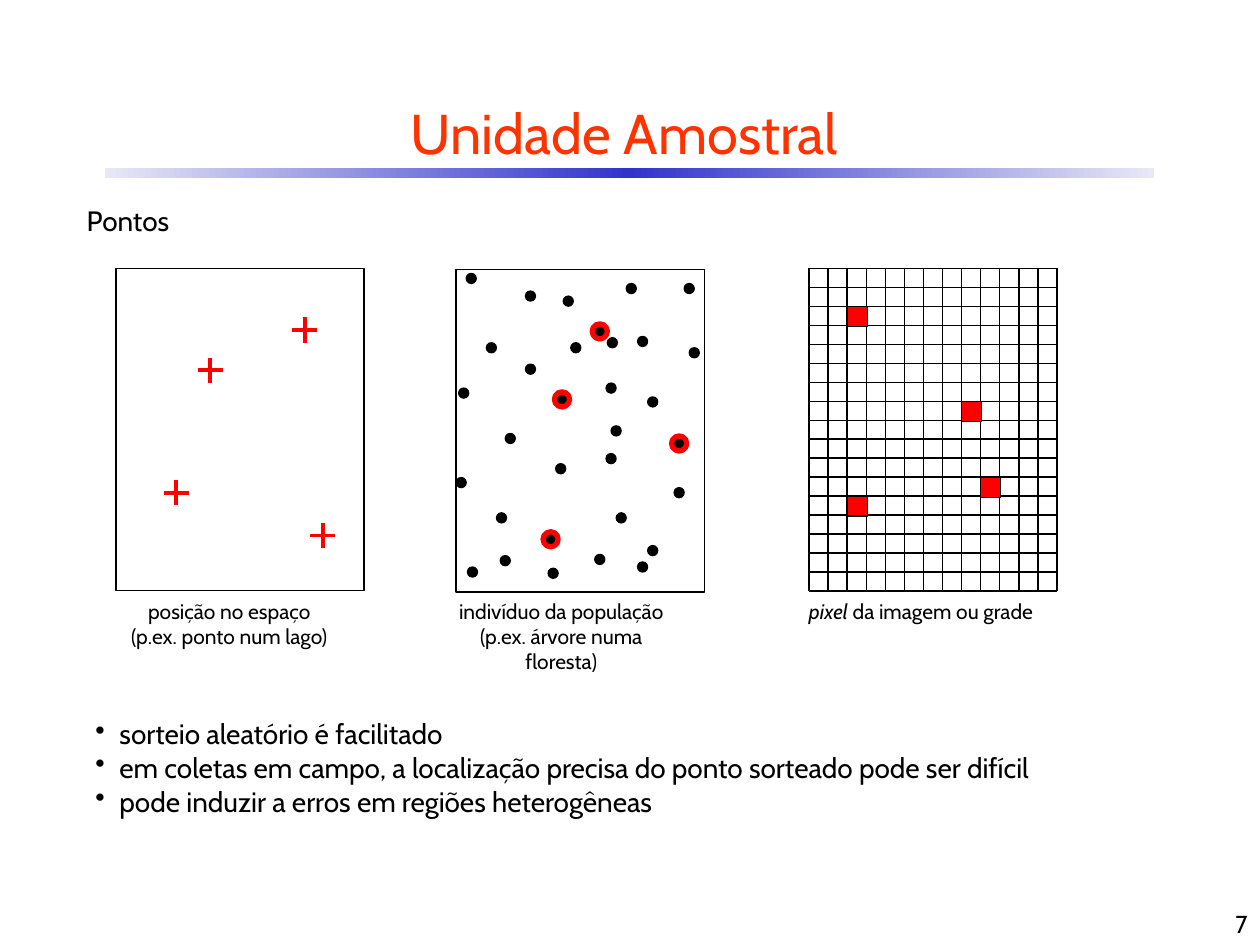
from copy import deepcopy

from pptx import Presentation
from pptx.dml.color import RGBColor
from pptx.enum.shapes import MSO_CONNECTOR, MSO_SHAPE
from pptx.enum.text import MSO_ANCHOR, PP_ALIGN
from pptx.oxml.ns import qn
from pptx.oxml.xmlchemy import OxmlElement
from pptx.util import Emu, Pt

PX = 9144  # 100 px to the inch
FONT = "Cabin"
BLACK, RED, ORANGE = "000000", "FF0000", "FF3300"
PALE_BLUE, BLUE = "E8E8F6", "3333CC"

CROSSES = [(242, 262), (140, 391), (256, 425), (167, 294)]
CROSS_ARM = 10

TREE_SIZE, RING_SIZE = 8, 12
TREES = [
    (386, 272), (417, 289), (401, 344), (441, 368), (394, 407), (489, 407),
    (506, 446), (514, 433), (485, 338), (481, 360), (535, 387), (514, 315),
    (453, 272), (506, 267), (481, 304), (364, 308), (362, 379), (397, 441),
    (371, 450), (435, 451), (543, 225), (447, 235), (482, 268), (370, 217),
    (417, 231), (497, 225), (547, 276),
]
SAMPLED_TREES = [(442, 313), (433, 424), (535, 348), (472, 259), (472, 440)][:4]
LONE_TREE = (472, 440)

GRID_LEFT, GRID_TOP, GRID_WIDTH, GRID_HEIGHT = 642, 213, 197, 256
COLUMNS, ROWS = 13, 17
SAMPLED_CELLS = [(2, 2), (8, 7), (9, 11), (2, 12)]


def px(length):
    return Emu(round(length * PX))


def color(value):
    return RGBColor.from_string(value)


def add_shape(page, kind, left, top, width, height, fill=None, line=None, weight=0.75):
    shape = page.shapes.add_shape(kind, px(left), px(top), px(width), px(height))
    shape.shadow.inherit = False
    if fill:
        shape.fill.solid()
        shape.fill.fore_color.rgb = color(fill)
    else:
        shape.fill.background()
    if line:
        shape.line.color.rgb = color(line)
        shape.line.width = Pt(weight)
    else:
        shape.line.fill.background()
    return shape


def add_line(page, start, end, line=BLACK, weight=0.75):
    connector = page.shapes.add_connector(
        MSO_CONNECTOR.STRAIGHT, *(px(value) for value in (*start, *end)))
    connector.line.color.rgb = color(line)
    connector.line.width = Pt(weight)
    connector._element.spPr.append(OxmlElement("a:effectLst"))


def add_bullet(para, indent):
    properties = para._p.get_or_add_pPr()
    properties.set("marL", str(px(indent)))
    properties.set("indent", str(-px(indent)))
    bullet = OxmlElement("a:buChar")
    bullet.set("char", "•")
    properties.append(bullet)


def add_text(page, place, lines, size, ink=BLACK, align=PP_ALIGN.LEFT,
             anchor=MSO_ANCHOR.TOP, wrap=True, bullet_indent=0):
    """Each line is a list of (text, italic) spans."""
    frame = page.shapes.add_textbox(*(px(value) for value in place)).text_frame
    frame.word_wrap = wrap
    frame.vertical_anchor = anchor
    for index, spans in enumerate(lines):
        para = frame.add_paragraph() if index else frame.paragraphs[0]
        para.alignment = align
        if bullet_indent:
            add_bullet(para, bullet_indent)
        for text, italic in spans:
            span = para.add_run()
            span.text = text
            span.font.color.rgb = color(ink)
            formats = {"name": FONT, "size": Pt(size), "italic": italic}
            for name, value in formats.items():
                setattr(span.font, name, value)


def plain(*texts):
    return [[(text, False)] for text in texts]


def add_caption(page, left, width, lines):
    add_text(page, (left, 470, width, 25 * len(lines)), lines, 12,
             align=PP_ALIGN.CENTER, wrap=False)


def add_title_bar(page):
    bar = add_shape(page, MSO_SHAPE.RECTANGLE, 83, 133, 833, 8)
    bar.fill.gradient()
    bar.fill.gradient_angle = 0
    stop_list = bar._element.spPr.find(qn("a:gradFill")).find(qn("a:gsLst"))
    stop_list.append(deepcopy(stop_list[-1]))
    stops = zip(bar.fill.gradient_stops, (0, 0.5, 1), (PALE_BLUE, BLUE, PALE_BLUE))
    for stop, position, value in stops:
        stop.position = position
        stop.color.rgb = color(value)


def add_lake(page):
    add_shape(page, MSO_SHAPE.RECTANGLE, 92, 213, 197, 256, line=BLACK)
    for x, y in CROSSES:
        add_line(page, (x, y - CROSS_ARM), (x, y + CROSS_ARM), RED, 2.25)
        add_line(page, (x - CROSS_ARM, y), (x + CROSS_ARM, y), RED, 2.25)
    add_caption(page, 94, 176, plain("posição no espaço", "(p.ex. ponto num lago)"))


def add_forest(page):
    add_shape(page, MSO_SHAPE.RECTANGLE, 362, 214, 197, 256, line=BLACK)
    for x, y in [*TREES, LONE_TREE, *SAMPLED_TREES]:
        add_shape(page, MSO_SHAPE.OVAL, x, y, TREE_SIZE, TREE_SIZE, BLACK, BLACK)
    margin = (RING_SIZE - TREE_SIZE) / 2
    for x, y in SAMPLED_TREES:
        add_shape(page, MSO_SHAPE.OVAL, x - margin, y - margin,
                  RING_SIZE, RING_SIZE, line=RED, weight=3)
    add_caption(page, 341, 209,
                plain("indivíduo da população", "(p.ex. árvore numa floresta)"))


def add_pixel_grid(page):
    right, bottom = GRID_LEFT + GRID_WIDTH, GRID_TOP + GRID_HEIGHT
    cell_width, cell_height = GRID_WIDTH / COLUMNS, GRID_HEIGHT / ROWS
    for row in range(ROWS + 1):
        y = GRID_TOP + row * cell_height
        add_line(page, (GRID_LEFT, y), (right, y))
    for column in range(COLUMNS + 1):
        x = GRID_LEFT + column * cell_width
        add_line(page, (x, GRID_TOP), (x, bottom))
    for column, row in SAMPLED_CELLS:
        add_shape(page, MSO_SHAPE.RECTANGLE, GRID_LEFT + column * cell_width,
                  GRID_TOP + row * cell_height, 16, 16, RED, BLACK)
    add_caption(page, 632, 198, [[("pixel", True), (" da imagem ou grade", False)]])


def main():
    deck = Presentation()
    deck.slide_width, deck.slide_height = px(1000), px(750)
    page = deck.slides.add_slide(deck.slide_layouts[6])
    add_title_bar(page)
    add_text(page, (33, 67, 925, 75), plain("Unidade Amostral"), 32, ORANGE,
             PP_ALIGN.CENTER, MSO_ANCHOR.MIDDLE)
    add_text(page, (59, 157, 894, 37), plain("Pontos"), 16)
    add_text(page, (792, 700, 208, 50), plain("7"), 14,
             align=PP_ALIGN.RIGHT, anchor=MSO_ANCHOR.BOTTOM)
    add_lake(page)
    add_forest(page)
    add_pixel_grid(page)
    add_text(page, (66, 564, 894, 91), plain(
        "sorteio aleatório é facilitado",
        "em coletas em campo, a localização precisa do ponto sorteado pode ser difícil",
        "pode induzir a erros em regiões heterogêneas",
    ), 16, bullet_indent=19)
    deck.save("out.pptx")


if __name__ == "__main__":
    main()
